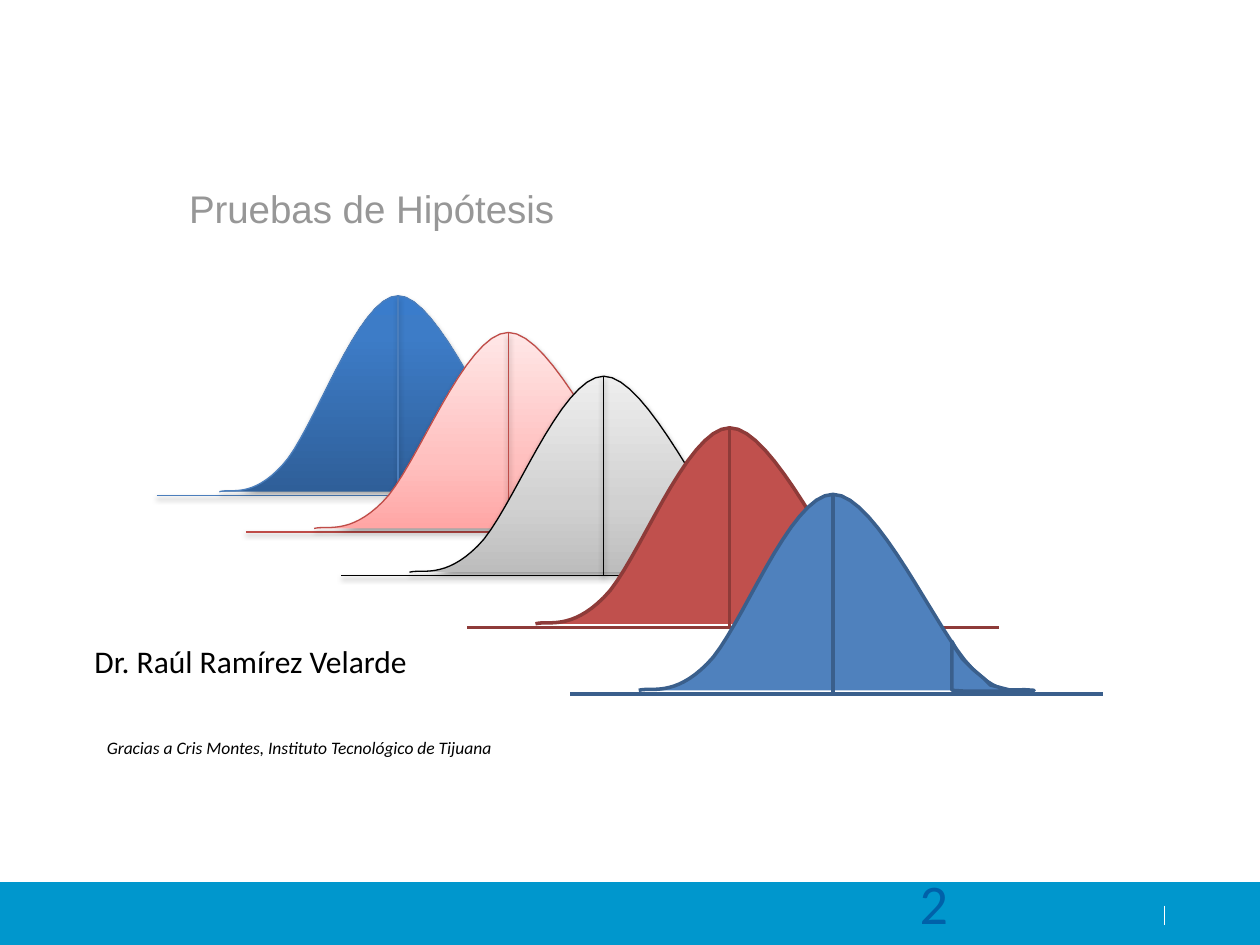
from copy import deepcopy
from dataclasses import dataclass

from lxml.etree import SubElement
from pptx import Presentation
from pptx.dml.color import RGBColor
from pptx.enum.shapes import MSO_CONNECTOR as Connector
from pptx.enum.text import MSO_ANCHOR as Anchor, PP_ALIGN as Align
from pptx.oxml.ns import qn
from pptx.util import Pt


@dataclass(frozen=True)
class Theme:
    band: str = "0097CD"
    white: str = "FFFFFF"
    black: str = "000000"
    title: str = "979797"
    number: str = "0061A9"
    title_font: str = "Arial"
    body_font: str = "Calibri"
    title_size: float = 22
    author_size: float = 18
    credit_size: float = 10
    number_size: float = 32
    hairline: float = 0.75
    thick: float = 2


@dataclass(frozen=True)
class BellStyle:
    fill: object  # one colour, or gradient stops from bottom to top
    line: str
    width: float
    shadow: tuple = ()  # opacity in percent, distance


# Bell geometry, measured from the foot of its centre line
BASELINE = (-150, 154)
HEIGHT = 113.5
CURVE_START = (-111, -2)
CURVE = [
    ((-104, -4), (-91, 2), (-72, -17)),
    ((-53, -35), (-25, -114), (0, -114)),
    ((25, -114), (60, -34), (79, -15)),
    ((98, 4), (105, -4), (112, -2)),
]
TAIL = [(68, -30), (68, -2), (76, -1.5), (112, -1.5), (115, -2), (112, -2.2),
        (101, -2.2), (90, -5), (89, -6), (86, -9), (80, -14), (77, -17),
        (74, -20), (70, -26)]


def sample_curve(start, segments, steps=16):
    points = [start]
    for first, second, end in segments:
        for step in range(1, steps + 1):
            t = step / steps
            u = 1 - t
            points.append(tuple(
                u**3 * a + 3 * u * u * t * b + 3 * u * t * t * c + t**3 * d
                for a, b, c, d in zip(start, first, second, end)))
        start = end
    return points


class SlideBuilder:
    def __init__(self, slide, theme):
        self.slide = slide
        self.theme = theme

    def effect(self, shape, shadow=()):
        effects = SubElement(shape._element.spPr, qn("a:effectLst"))
        if shadow:
            opacity, distance = shadow
            outer = SubElement(effects, qn("a:outerShdw"), blurRad=str(Pt(3.1)),
                               dist=str(Pt(distance)), dir="5400000", rotWithShape="0")
            color = SubElement(outer, qn("a:srgbClr"), val=self.theme.black)
            SubElement(color, qn("a:alpha"), val=str(opacity * 1000))

    def stroke(self, shape, color, width):
        shape.line.color.rgb = RGBColor.from_string(color)
        shape.line.width = Pt(width)

    def paint(self, shape, fill):
        if isinstance(fill, str):
            shape.fill.solid()
            shape.fill.fore_color.rgb = RGBColor.from_string(fill)
            return
        shape.fill.gradient()
        shape.fill.gradient_angle = 90
        stops = shape._element.spPr.find(".//" + qn("a:gsLst"))
        stops.insert(1, deepcopy(stops[0]))
        for stop, (position, color) in zip(shape.fill.gradient_stops, fill):
            stop.position = position
            stop.color.rgb = RGBColor.from_string(color)

    def line(self, start, end, color, width, shadow=()):
        connector = self.slide.shapes.add_connector(
            Connector.STRAIGHT, *(Pt(value) for value in (*start, *end)))
        self.stroke(connector, color, width)
        self.effect(connector, shadow)

    def outline(self, points, fill, color=None, width=0, shadow=(), close=True):
        points = [(Pt(x), Pt(y)) for x, y in points]
        builder = self.slide.shapes.build_freeform(*points[0])
        builder.add_line_segments(points[1:], close=close)
        shape = builder.convert_to_shape()
        self.paint(shape, fill)
        if color:
            self.stroke(shape, color, width)
        else:
            shape.line.fill.background()
        self.effect(shape, shadow)

    def bell(self, foot, style, scale=1):
        x, y = foot
        look = (style.line, style.width, style.shadow)

        def place(points):
            return [(x + scale * dx, y + dy) for dx, dy in points]

        self.line(*place((dx, 0) for dx in BASELINE), *look)
        self.outline(place(sample_curve(CURVE_START, CURVE)), style.fill, *look, close=False)
        self.line((x, y - HEIGHT), foot, *look)
        self.outline(place(TAIL), style.fill, *look)

    def text(self, box, text, font, size, color, shape=None, inset=(0, 0),
             anchor=Anchor.TOP, wrap=True, italic=False, spacing=1):
        left, top, width, height = (Pt(value) for value in box)
        if shape is None:
            shape = self.slide.shapes.add_textbox(left, top, width, height)
        shape.left, shape.top, shape.width, shape.height = left, top, width, height
        frame = shape.text_frame
        frame.text = text
        frame.word_wrap = wrap
        frame.vertical_anchor = anchor
        frame.margin_left = frame.margin_right = Pt(inset[0])
        frame.margin_top = frame.margin_bottom = Pt(inset[1])
        paragraph = frame.paragraphs[0]
        paragraph.alignment = Align.LEFT
        paragraph.line_spacing = spacing
        run_font = paragraph.runs[0].font
        run_font.name, run_font.size, run_font.italic = font, Pt(size), italic
        run_font.color.rgb = RGBColor.from_string(color)


theme = Theme()
presentation = Presentation()
presentation.slide_width, presentation.slide_height = Pt(720), Pt(540)
slide = presentation.slides.add_slide(presentation.slide_layouts[5])
builder = SlideBuilder(slide, theme)

# Footer band and slide number
builder.outline([(0, 504), (720, 504), (720, 540), (0, 540)], theme.band)
builder.line((665.5, 517.5), (665.5, 528.5), theme.white, theme.hairline)
builder.text((518.4, 502, 165.6, 27), "2", theme.body_font, theme.number_size,
             theme.number, inset=(7.2, 3.6), anchor=Anchor.MIDDLE)

# Title, author and credit
builder.text((54, 367, 504, 22), "Dr. Raúl Ramírez Velarde", theme.body_font,
             theme.author_size, theme.black)
builder.text((108, 106, 612, 27), "Pruebas de Hipótesis", theme.title_font,
             theme.title_size, theme.title, shape=slide.shapes.title)
builder.text((54, 415, 238, 34), "Gracias a Cris Montes, Instituto Tecnológico de Tijuana",
             theme.body_font, theme.credit_size, theme.black, inset=(7.2, 3.6),
             wrap=False, italic=True, spacing=1.2)

# Bell curves, from back to front
deep_blue = BellStyle([(0, "2F5F99"), (0.8, "3D7CC7"), (1, "3A7CCB")],
                      "4B7EBC", theme.hairline, (35, 1.8))
pink = BellStyle([(0, "FFA6A5"), (0.35, "FFC0BF"), (1, "FFE7E7")],
                 "BF4C48", theme.hairline, (38, 1.6))
gray = BellStyle([(0, "BDBDBD"), (0.35, "D1D1D1"), (1, "EEEEEE")],
                 theme.black, theme.hairline, (38, 1.6))
red = BellStyle("C0504D", "8E3B39", theme.thick)
blue = BellStyle("4F81BD", "3A5F8C", theme.thick)

builder.bell((227.5, 283), deep_blue, scale=0.92)
for foot, style in [((290.5, 304), pink), ((345, 329), gray),
                    ((417, 358.5), red), ((476, 396.5), blue)]:
    builder.bell(foot, style)

presentation.save("out.pptx")
